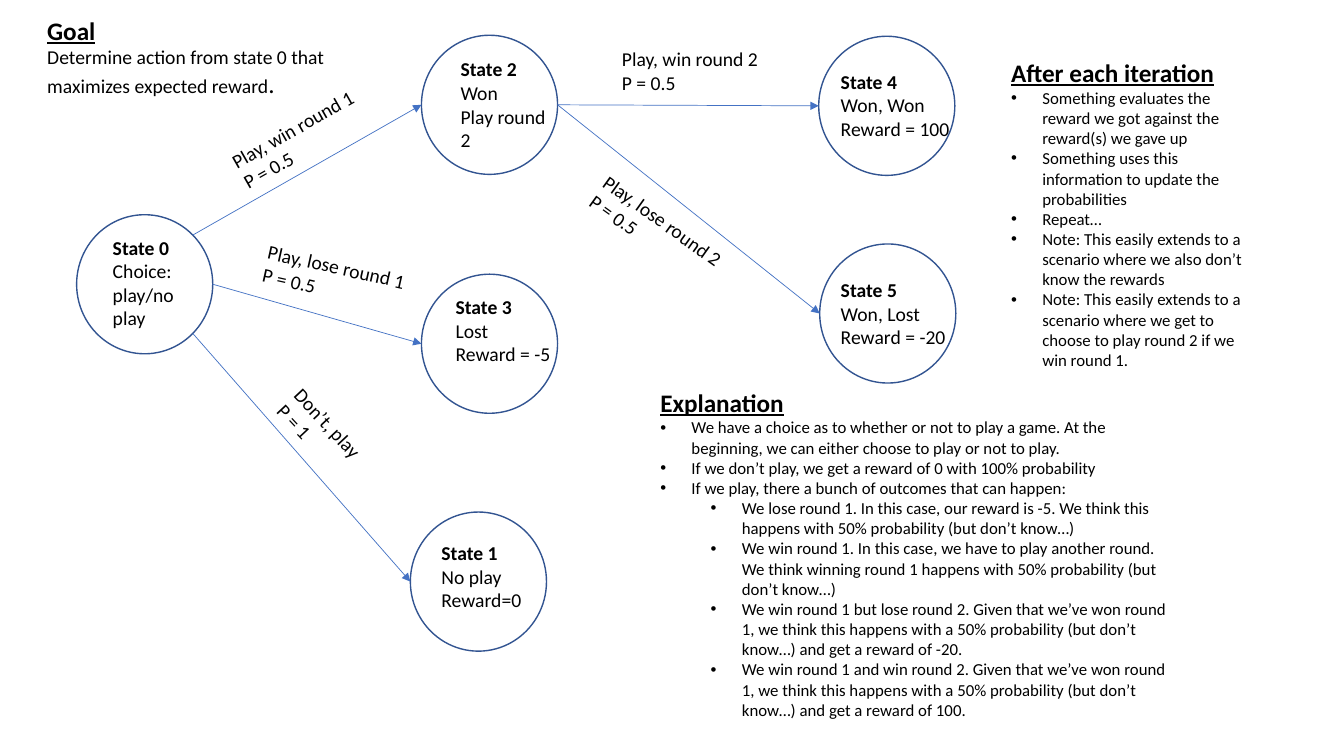
from dataclasses import dataclass
from math import cos, radians, sin

from lxml.etree import SubElement
from pptx import Presentation
from pptx.dml.color import RGBColor
from pptx.enum.shapes import MSO_CONNECTOR, MSO_SHAPE
from pptx.enum.text import MSO_AUTO_SIZE
from pptx.oxml.ns import qn
from pptx.shapes.autoshape import Shape
from pptx.slide import Slide
from pptx.text.text import TextFrame
from pptx.util import Inches, Pt

COLORS = {"text": "000000", "outline": "325491", "arrow": "4472C4"}
CIRCLE_WIDTH, CIRCLE_HEIGHT = 1.35, 1.38
HANGING = 0.31
# Connection sites of an ellipse with their clockwise angle from the right
LEFT, LOWER_RIGHT, RIGHT, UPPER_RIGHT = (2, 180), (5, 45), (6, 0), (7, -45)

BODY = {"size": Pt(14), "bold": False, "underline": False}
STATE_NAME = {**BODY, "bold": True}
HEADING = {"size": Pt(18), "bold": True, "underline": True}
BULLET = {**BODY, "size": Pt(12)}


@dataclass
class Box:
    left: float
    top: float
    width: float
    height: float
    rotation: float = 0


@dataclass
class State:
    left: float
    top: float
    label: Box
    lines: list[str]


@dataclass
class Move:
    start: int
    start_site: tuple[int, int]
    end: int
    label: Box
    lines: list[str]


@dataclass
class Notes:
    box: Box
    heading: str
    bullets: list[tuple[int, str]]


STATES = [
    State(0.76, 2.13, Box(1.02, 2.29, 1.06, 1.04), ["State 0", "Choice: play/no play"]),
    State(4.07, 5.08, Box(4.28, 5.32, 1.06, 0.81), ["State 1", "No play", "Reward=0"]),
    State(4.18, 0.35, Box(4.47, 0.52, 1.06, 1.04), ["State 2", "Won", "Play round 2"]),
    State(4.18, 2.72, Box(4.42, 2.88, 1.18, 0.81), ["State 3", "Lost", "Reward = -5"]),
    State(8.12, 0.36, Box(8.24, 0.64, 1.45, 0.81), ["State 4", "Won, Won", "Reward = 100"]),
    State(8.13, 2.42, Box(8.24, 2.71, 1.35, 0.81), ["State 5", "Won, Lost", "Reward = -20"]),
]

MOVES = [
    Move(0, LOWER_RIGHT, 1, Box(2.55, 4.2, 1.62, 0.57, 46.9), ["Don’t, play", "P = 1"]),
    Move(0, UPPER_RIGHT, 2, Box(2.18, 1.08, 1.62, 0.57, 330.3), ["Play, win round 1", "P = 0.5"]),
    Move(0, RIGHT, 3, Box(2.52, 2.48, 1.62, 0.57, 12.7), ["Play, lose round 1", "P = 0.5"]),
    Move(2, RIGHT, 4, Box(6.07, 0.42, 1.62, 0.57), ["Play, win round 2", "P = 0.5"]),
    Move(2, RIGHT, 5, Box(5.71, 2.01, 1.62, 0.57, 35.6), ["Play, lose round 2", "P = 0.5"]),
]

NOTES = [
    Notes(Box(6.45, 3.79, 5.25, 3.64), "Explanation", [
        (0, "We have a choice as to whether or not to play a game. At the beginning, "
            "we can either choose to play or not to play."),
        (0, "If we don’t play, we get a reward of 0 with 100% probability"),
        (0, "If we play, there a bunch of outcomes that can happen:"),
        (1, "We lose round 1. In this case, our reward is -5. We think this happens "
            "with 50% probability (but don’t know…)"),
        (1, "We win round 1. In this case, we have to play another round. We think "
            "winning round 1 happens with 50% probability (but don’t know…)"),
        (1, "We win round 1 but lose round 2. Given that we’ve won round 1, we think "
            "this happens with a 50% probability (but don’t know…) and get a reward of -20."),
        (1, "We win round 1 and win round 2. Given that we’ve won round 1, we think "
            "this happens with a 50% probability (but don’t know…) and get a reward of 100."),
    ]),
    Notes(Box(9.93, 0.52, 2.64, 3.23), "After each iteration", [
        (0, "Something evaluates the reward we got against the reward(s) we gave up"),
        (0, "Something uses this information to update the probabilities"),
        (0, "Repeat…"),
        (0, "Note: This easily extends to a scenario where we also don’t know the rewards"),
        (0, "Note: This easily extends to a scenario where we get to choose to play "
            "round 2 if we win round 1."),
    ]),
]


def color(name: str) -> RGBColor:
    return RGBColor.from_string(COLORS[name])


def add_text_box(slide: Slide, box: Box) -> TextFrame:
    shape = slide.shapes.add_textbox(
        Inches(box.left), Inches(box.top), Inches(box.width), Inches(box.height))
    shape.rotation = box.rotation
    frame = shape.text_frame
    frame.word_wrap = True
    frame.auto_size = MSO_AUTO_SIZE.SHAPE_TO_FIT_TEXT
    return frame


def add_run(paragraph, text: str, style: dict) -> None:
    run = paragraph.add_run()
    run.text = text
    run.font.name = "Calibri"
    run.font.color.rgb = color("text")
    for attribute, value in style.items():
        setattr(run.font, attribute, value)


def add_lines(slide: Slide, box: Box, lines: list[str], first: dict) -> TextFrame:
    """Write one paragraph per line, the first in its own style."""
    frame = add_text_box(slide, box)
    for index, line in enumerate(lines):
        paragraph = frame.add_paragraph() if index else frame.paragraphs[0]
        add_run(paragraph, line, BODY if index else first)
    return frame


def add_circle(slide: Slide, state: State) -> Shape:
    circle = slide.shapes.add_shape(
        MSO_SHAPE.OVAL, Inches(state.left), Inches(state.top),
        Inches(CIRCLE_WIDTH), Inches(CIRCLE_HEIGHT))
    circle.shadow.inherit = False
    circle.fill.background()
    circle.line.color.rgb = color("outline")
    circle.line.width = Pt(1)
    return circle


def rim_point(circle: Shape, angle: float) -> tuple[int, int]:
    return (round(circle.left + circle.width / 2 * (1 + cos(radians(angle)))),
            round(circle.top + circle.height / 2 * (1 + sin(radians(angle)))))


def add_arrow(slide: Slide, start: Shape, start_site: tuple[int, int], end: Shape) -> None:
    """Join two circles at ellipse sites, which begin_connect does not cover."""
    connector = slide.shapes.add_connector(
        MSO_CONNECTOR.STRAIGHT, *rim_point(start, start_site[1]), *rim_point(end, LEFT[1]))
    connector.line.color.rgb = color("arrow")
    connector.line.width = Pt(0.5)
    SubElement(connector.line._get_or_add_ln(), qn("a:tailEnd"), type="triangle")
    SubElement(connector._element.spPr, qn("a:effectLst"))
    joints = connector._element.find(".//" + qn("p:cNvCxnSpPr"))
    for tag, circle, site in (("a:stCxn", start, start_site), ("a:endCxn", end, LEFT)):
        SubElement(joints, qn(tag), id=str(circle.shape_id), idx=str(site[0]))


def add_notes(slide: Slide, notes: Notes) -> None:
    frame = add_lines(slide, notes.box, [notes.heading], HEADING)
    for level, text in notes.bullets:
        paragraph = frame.add_paragraph()
        paragraph.level = level
        properties = paragraph._p.get_or_add_pPr()
        properties.set("marL", str(Inches(HANGING + 0.5 * level)))
        properties.set("indent", str(Inches(-HANGING)))
        SubElement(properties, qn("a:buFont"), typeface="Arial")
        SubElement(properties, qn("a:buChar"), char="•")
        add_run(paragraph, text, BULLET)


def main() -> None:
    presentation = Presentation()
    presentation.slide_width = Inches(13.33)
    presentation.slide_height = Inches(7.5)
    slide = presentation.slides.add_slide(presentation.slide_layouts[6])

    circles = [add_circle(slide, state) for state in STATES]
    for move in MOVES:
        add_arrow(slide, circles[move.start], move.start_site, circles[move.end])
        add_lines(slide, move.label, move.lines, BODY)
    for state in STATES:
        add_lines(slide, state.label, state.lines, STATE_NAME)
    for notes in NOTES:
        add_notes(slide, notes)
    goal = add_lines(
        slide, Box(0.37, 0.1, 3.06, 0.94),
        ["Goal", "Determine action from state 0 that maximizes expected reward"], HEADING)
    add_run(goal.paragraphs[-1], ".", {**BODY, "size": Pt(18)})

    presentation.save("out.pptx")


if __name__ == "__main__":
    main()
